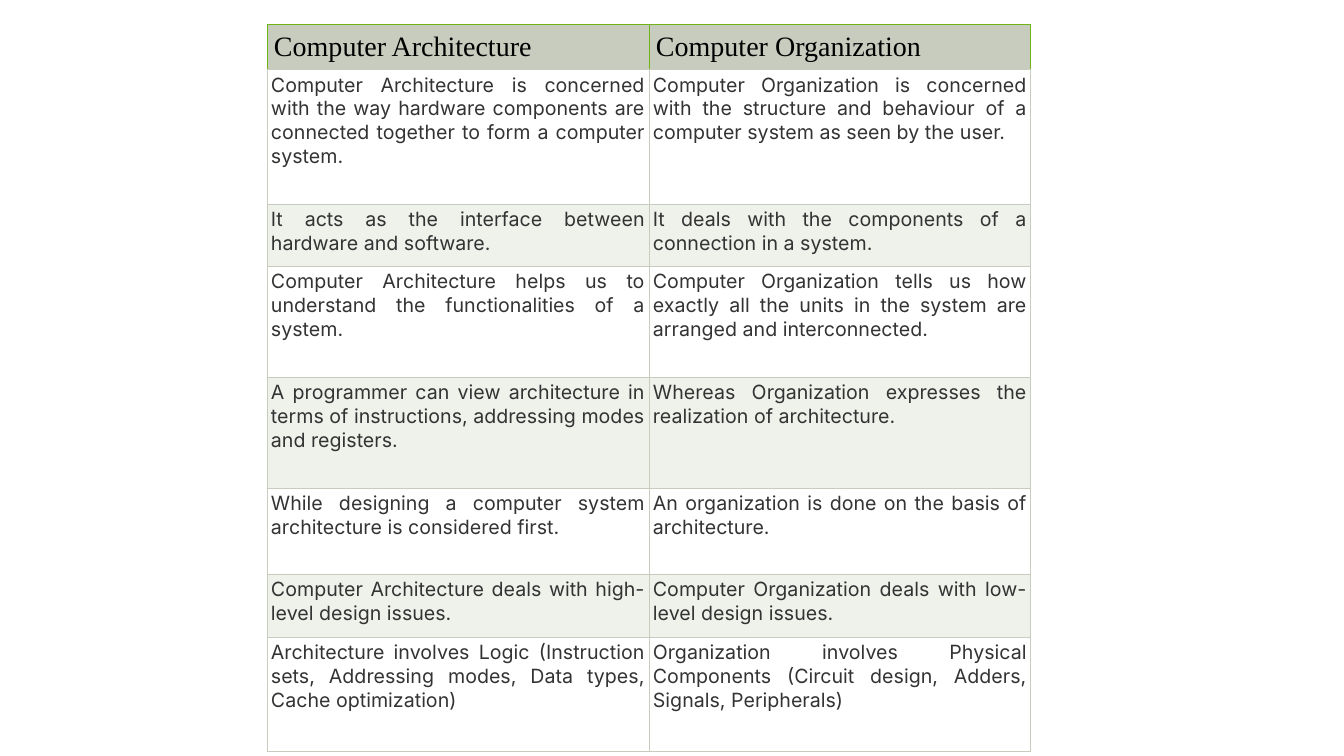
import pptx
import pptx.util
import pptx.dml.color
import pptx.enum.text
import pptx.oxml.ns
from lxml import etree

PX = 914400 / 100.8
RGB = pptx.dml.color.RGBColor
BLACK = RGB(0x00, 0x00, 0x00)
GREY = RGB(0x33, 0x33, 0x33)
WHITE = RGB(0xFF, 0xFF, 0xFF)
PALE = RGB(0xEF, 0xF1, 0xEB)
SAGE = RGB(0xC7, 0xCC, 0xBE)
GREEN = RGB(0x70, 0xB3, 0x15)

ROWS = [
    ("Computer Architecture", "Computer Organization", 45),
    ("Computer Architecture is concerned with the way hardware components are connected together to form a computer system.",
     "Computer Organization is concerned with the structure and behaviour of a computer system as seen by the user.", 135),
    ("It acts as the interface between hardware and software.",
     "It deals with the components of a connection in a system.", 62),
    ("Computer Architecture helps us to understand the functionalities of a system.",
     "Computer Organization tells us how exactly all the units in the system are arranged and interconnected.", 111),
    ("A programmer can view architecture in terms of instructions, addressing modes and registers.",
     "Whereas Organization expresses the realization of architecture.", 111),
    ("While designing a computer system architecture is considered first.",
     "An organization is done on the basis of architecture.", 86),
    ("Computer Architecture deals with high-level design issues.",
     "Computer Organization deals with low-level design issues.", 63),
    ("Architecture involves Logic (Instruction sets, Addressing modes, Data types, Cache optimization)",
     "Organization involves Physical Components (Circuit design, Adders, Signals, Peripherals)", 114),
]


def px(n):
    return pptx.util.Emu(round(n * PX))


def edge(cell, side, color):
    """Draw one border of a cell; call before the cell is filled."""
    tag = pptx.oxml.ns.qn
    line = etree.SubElement(cell._tc.get_or_add_tcPr(), tag("a:ln" + side),
                            w=str(pptx.util.Pt(0.75)))
    fill = etree.SubElement(line, tag("a:solidFill"))
    etree.SubElement(fill, tag("a:srgbClr"), val=str(color))


deck = pptx.Presentation()
deck.slide_width, deck.slide_height = px(1344), px(756)
slide = deck.slides.add_slide(deck.slide_layouts[6])

high = sum(row[2] for row in ROWS)
table = slide.shapes.add_table(len(ROWS), 2, px(267), px(24), px(764), px(high)).table
table.first_row = table.horz_banding = False
for col in table.columns:
    col.width = px(382)

for r, (left, right, tall) in enumerate(ROWS):
    table.rows[r].height = px(tall)
    head = r == 0
    for c, text in enumerate((left, right)):
        cell = table.cell(r, c)
        for side in "LRTB":
            edge(cell, side, GREEN if head and side != "B" else SAGE)
        cell.fill.solid()
        cell.fill.fore_color.rgb = SAGE if head else (PALE, WHITE)[r % 2]
        pad = px(7 if head else 4)
        cell.margin_left = cell.margin_right = pad
        cell.margin_top = cell.margin_bottom = pad
        cell.text = text
        para = cell.text_frame.paragraphs[0]
        para.font.name = "Times New Roman" if head else "Inter"
        para.font.size = pptx.util.Pt(20 if head else 14)
        para.font.color.rgb = BLACK if head else GREY
        if not head:
            para.alignment = pptx.enum.text.PP_ALIGN.JUSTIFY

deck.save("out.pptx")
